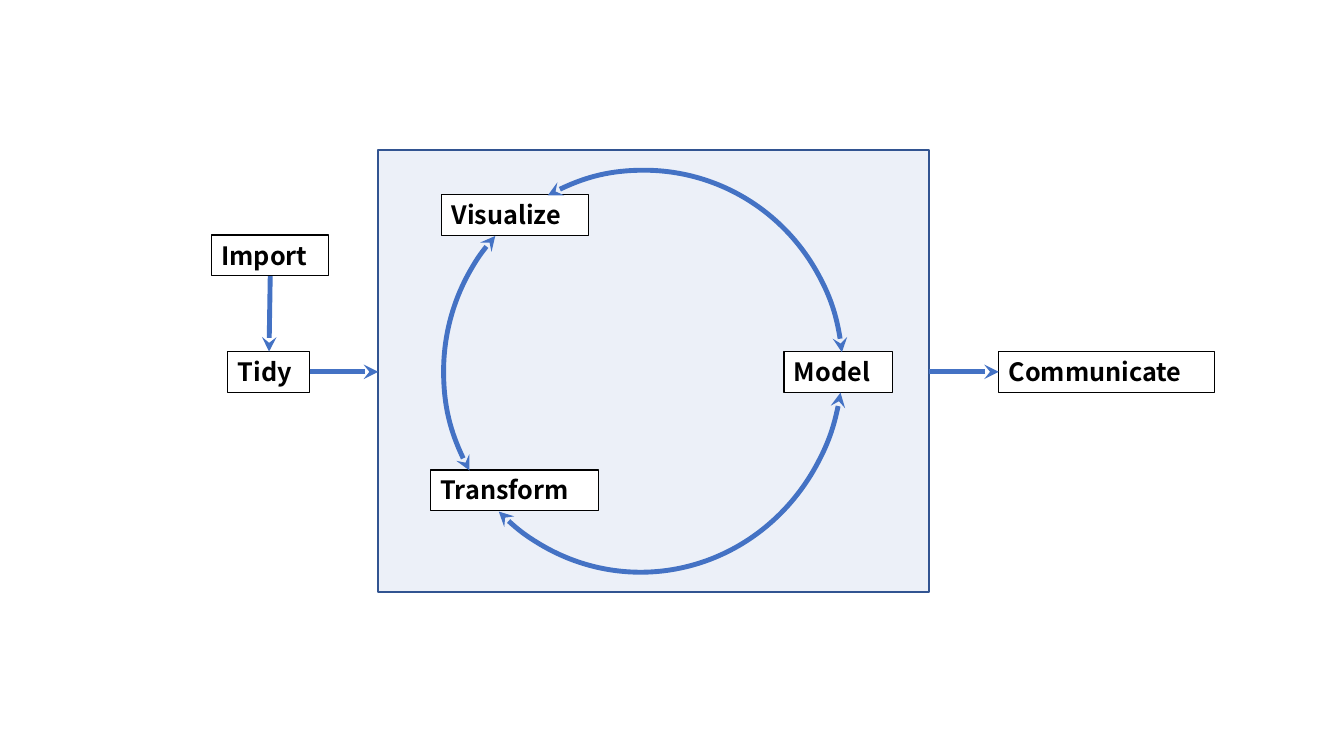
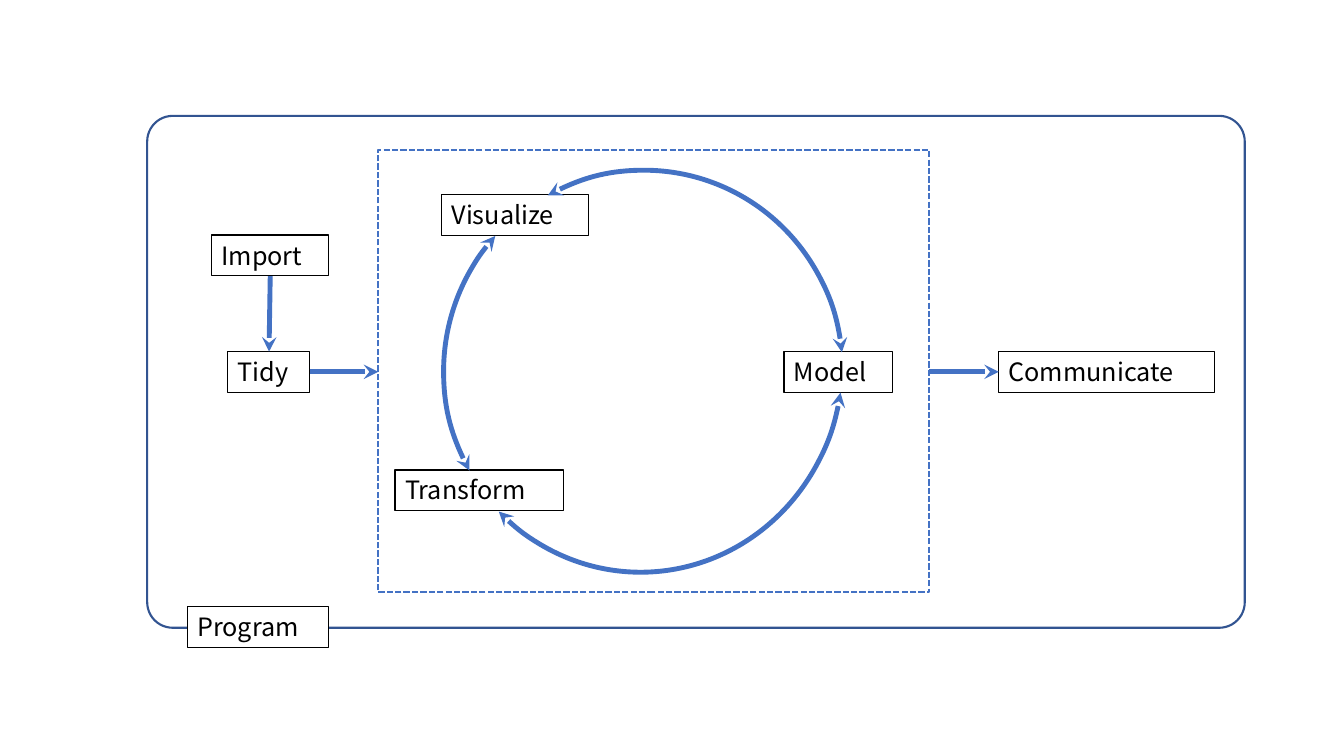
"""Draw the data science workflow, plain and framed as a program."""
import pptx
import pptx.util
import pptx.dml.color
import pptx.enum.dml
import pptx.enum.shapes
import pptx.enum.text
import pptx.oxml
import pptx.oxml.ns

Cm = pptx.util.Cm
Pt = pptx.util.Pt
KIND = pptx.enum.shapes.MSO_SHAPE
FONT = "Noto Sans CJK JP"
BLUE, NAVY, PALE = "4472C4", "325491", "DAE3F3"
BLACK, WHITE = "000000", "FFFFFF"
HIGH = 1.03
MID = 8.86
AXIS = 9.37
PANEL = (9.53, 3.78, 13.89, 11.15)
FRAME = (3.71, 2.92, 27.66, 12.9)
STEPS = [
    ("Visualize", 11.13, 4.9, 3.71),
    ("Model", 19.76, MID, 2.74),
    ("Communicate", 25.17, MID, 5.44),
    ("Tidy", 5.74, MID, 2.06),
    ("Import", 5.33, 5.92, 2.95),
]
ARCS = [
    ((11.23, 4.29, 10.01, 10.13), 241.24, 354.53),
    ((11.18, 4.29, 10.01, 10.13), 150.1, 222.62),
    ((11.05, 3.78, 10.19, 10.64), 8.96, 133.31),
]
LINKS = [
    (23.42, AXIS, 25.17, AXIS),
    (7.8, AXIS, 9.53, AXIS),
    (6.81, 6.96, 6.78, MID),
]


def rgb(code):
    """Turn a hex string into a colour."""
    return pptx.dml.color.RGBColor.from_string(code)


def node(tag, **attrs):
    """Make a drawing element with the given attributes."""
    item = pptx.oxml.parse_xml(f"<a:{tag} {pptx.oxml.ns.nsdecls('a')}/>")
    for name, value in attrs.items():
        item.set(name, value)
    return item


def stroke(shape, color, width, ends=()):
    """Set the outline and its arrowheads."""
    shape.line.color.rgb = rgb(color)
    shape.line.width = Pt(width)
    line = shape.element.spPr.find(pptx.oxml.ns.qn("a:ln"))
    for end in ends:
        line.append(node(end, type="stealth"))


def outline(slide, kind, area, color, width, ends=()):
    """Add an unfilled preset shape."""
    shape = slide.shapes.add_shape(kind, *map(Cm, area))
    shape.shadow.inherit = False
    shape.fill.background()
    stroke(shape, color, width, ends)
    return shape


def label(slide, text, left, top, width, bold):
    """Add a boxed word."""
    box = slide.shapes.add_textbox(Cm(left), Cm(top), Cm(width), Cm(HIGH))
    box.fill.solid()
    box.fill.fore_color.rgb = rgb(WHITE)
    stroke(box, BLACK, 1)
    frame = box.text_frame
    frame.word_wrap = True
    frame.auto_size = pptx.enum.text.MSO_AUTO_SIZE.SHAPE_TO_FIT_TEXT
    run = frame.paragraphs[0].add_run()
    run.text = text
    run.font.name = FONT
    run.font.size = Pt(18)
    run.font.bold = bold
    run.font.color.rgb = rgb(BLACK)


def arc(slide, area, start, end):
    """Add a two-headed arc between two angles in degrees."""
    shape = outline(slide, KIND.ARC, area, BLUE, 3.5, ("headEnd", "tailEnd"))
    for index, angle in enumerate((start, end)):
        shape.adjustments[index] = angle * 0.6


def arrow(slide, points):
    """Add a straight arrow."""
    kind = pptx.enum.shapes.MSO_CONNECTOR.STRAIGHT
    line = slide.shapes.add_connector(kind, *map(Cm, points))
    stroke(line, BLUE, 3.5, ("tailEnd",))
    line.element.spPr.append(node("effectLst"))


def tint(shape, color, alpha):
    """Fill a shape with a see-through colour."""
    shape.fill.solid()
    shape.fill.fore_color.rgb = rgb(color)
    tag = pptx.oxml.ns.qn("a:srgbClr")
    fill = shape.element.spPr.find(pptx.oxml.ns.qn("a:solidFill"))
    fill.find(tag).append(node("alpha", val=str(alpha * 1000)))


def flow(slide, left, bold):
    """Add the steps, with Transform at the given left edge, and arrows."""
    for step in STEPS + [("Transform", left, 11.84, 4.24)]:
        label(slide, *step, bold)
    for area, start, end in ARCS:
        arc(slide, area, start, end)
    for points in LINKS:
        arrow(slide, points)


def main():
    """Build and save both slides."""
    deck = pptx.Presentation()
    deck.slide_width, deck.slide_height = Cm(33.87), Cm(19.05)
    blank = deck.slide_layouts[6]

    plain = deck.slides.add_slide(blank)
    tint(outline(plain, KIND.RECTANGLE, PANEL, NAVY, 1.5), PALE, 50)
    flow(plain, 10.85, True)

    framed = deck.slides.add_slide(blank)
    frame = outline(framed, KIND.ROUNDED_RECTANGLE, FRAME, NAVY, 1.5)
    frame.adjustments[0] = 0.05
    panel = outline(framed, KIND.RECTANGLE, PANEL, BLUE, 1.5)
    panel.line.dash_style = pptx.enum.dml.MSO_LINE.SQUARE_DOT
    flow(framed, 9.96, False)
    label(framed, "Program", 4.72, 15.29, 3.56, False)

    deck.save("out.pptx")


main()
